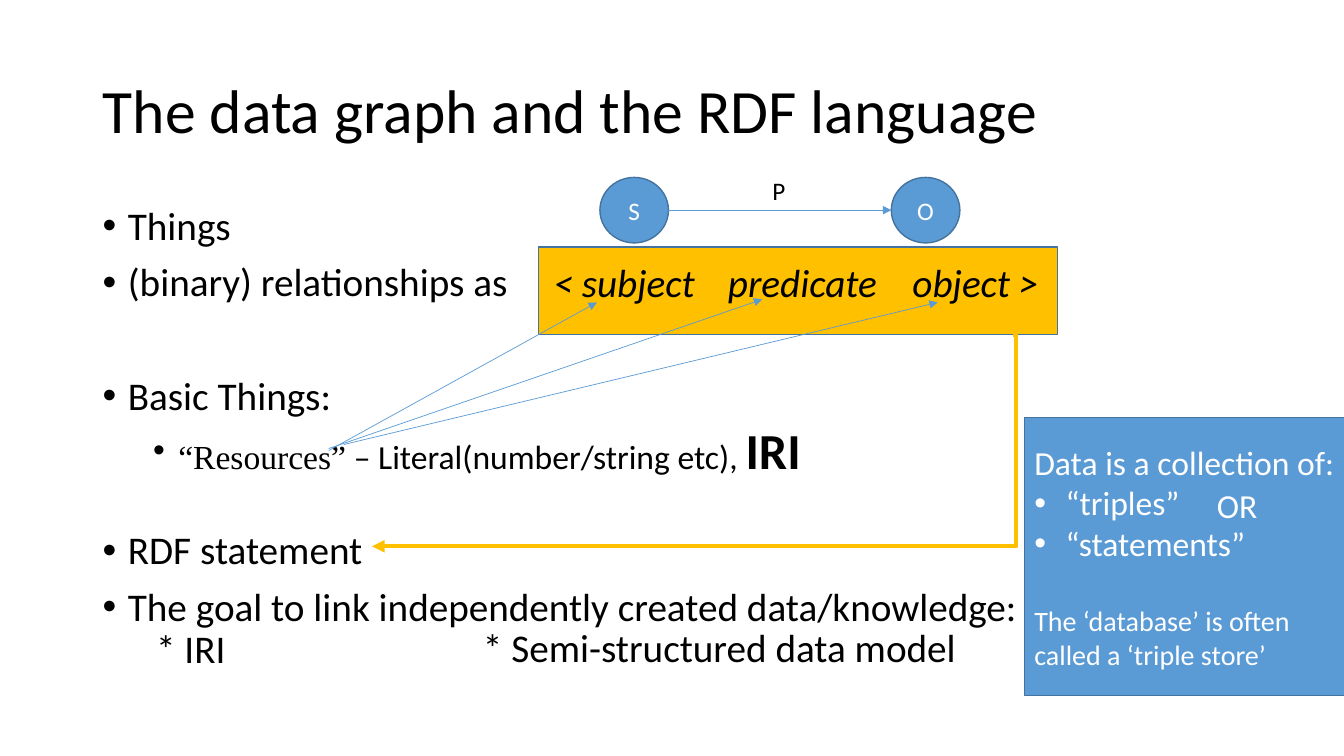
from dataclasses import dataclass

from lxml import etree
from pptx import Presentation
from pptx.dml.color import RGBColor
from pptx.enum import shapes, text
from pptx.oxml.ns import qn
from pptx.util import Inches, Pt


@dataclass(frozen=True)
class Theme:
    font: str = "Calibri"
    serif: str = "Times New Roman"
    black: str = "000000"
    white: str = "FFFFFF"
    blue: str = "5B9BD5"
    outline: str = "43739E"
    gold: str = "FFC000"
    title: int = 44
    body: int = 28
    detail: int = 24
    note: int = 20
    label: int = 18
    emphasis: int = 36


theme = Theme()

TITLE = "The data graph and the RDF language"
BODY = [
    {"runs": ["Things"], "before": 10},
    {"runs": ["(binary) relationships as"], "before": 10},
    {"runs": ["Basic Things:"], "before": 51},
    {"runs": [("“Resources”", {"font": theme.serif}), " – Literal(number/string etc), ",
              ("IRI", {"size": theme.emphasis, "bold": True})],
     "size": theme.detail, "before": 5, "left": 0.75},
    {"runs": ["RDF statement"], "before": 36},
    {"runs": ["The goal to link independently created data/knowledge:"], "before": 10},
    {"runs": ["* IRI"], "left": 0.53, "hang": 0},
]
SIDEBAR = [
    {"runs": ["Data is a collection of:"], "left": 0, "hang": 0},
    {"runs": ["“triples”"], "left": 0.31, "hang": 0.31},
    {"runs": ["“statements”"], "left": 0.31, "hang": 0.31},
    {"runs": ["The ‘database’ is often called a ‘triple store’"], "size": theme.note,
     "before": 29, "left": 0, "hang": 0},
]
TRIPLE = [("< subject", 5.49), ("predicate", 7.22), ("object >", 9.05)]
TRIPLE_TOP = 2.62
NODES = [("S", 5.95), ("O", 8.84)]
NODE_TOP, NODE_WIDTH, NODE_HEIGHT = 1.76, 0.68, 0.65
RESOURCE_ARROWS = [
    ((3.26, 4.47), (5.92, 3)),
    ((3.26, 4.45), (7.56, 2.97)),
    ((3.41, 4.41), (9.3, 3)),
]


def rgb(color):
    return RGBColor.from_string(color)


def write(frame, paragraphs, color, size, spacing=1.0):
    for index, item in enumerate(paragraphs):
        paragraph = frame.paragraphs[0] if index == 0 else frame.add_paragraph()
        paragraph.alignment = item.get("align", text.PP_ALIGN.LEFT)
        paragraph.line_spacing = spacing
        paragraph.space_before = Pt(item.get("before", 0))
        hang = item.get("hang", 0.25)
        properties = paragraph._p.get_or_add_pPr()
        properties.set("marL", str(Inches(item.get("left", 0.25))))
        properties.set("indent", str(-Inches(hang)))
        if hang:
            etree.SubElement(properties, qn("a:buFont"), typeface="Arial")
            etree.SubElement(properties, qn("a:buChar"), char="•")
        else:
            etree.SubElement(properties, qn("a:buNone"))
        for part in item["runs"]:
            words, style = part if isinstance(part, tuple) else (part, {})
            run = paragraph.add_run()
            run.text = words
            run.font.name = style.get("font", theme.font)
            run.font.size = Pt(style.get("size", item.get("size", size)))
            run.font.bold = style.get("bold", False)
            run.font.italic = style.get("italic", False)
            run.font.color.rgb = rgb(color)


def plain(words, align=text.PP_ALIGN.LEFT, **style):
    return [{"runs": [(words, style)], "left": 0, "hang": 0, "align": align}]


def add_label(slide, words, box, color, size, spacing=1.0, **style):
    frame = slide.shapes.add_textbox(*map(Inches, box)).text_frame
    frame.word_wrap = False
    frame.margin_left = frame.margin_right = frame.margin_top = frame.margin_bottom = 0
    write(frame, plain(words, **style), color, size, spacing)


def add_block(slide, kind, box, fill):
    shape = slide.shapes.add_shape(kind, *map(Inches, box))
    shape.shadow.inherit = False
    shape.fill.solid()
    shape.fill.fore_color.rgb = rgb(fill)
    shape.line.color.rgb = rgb(theme.outline)
    shape.line.width = Pt(1)
    shape.text_frame.word_wrap = True
    shape.text_frame.vertical_anchor = text.MSO_ANCHOR.MIDDLE
    return shape


def add_arrow(slide, start, end, color=theme.blue, width=0.5,
              kind=shapes.MSO_CONNECTOR.STRAIGHT):
    connector = slide.shapes.add_connector(kind, *map(Inches, start + end))
    connector.line.color.rgb = rgb(color)
    connector.line.width = Pt(width)
    etree.SubElement(connector.line._get_or_add_ln(), qn("a:tailEnd"), type="triangle")
    etree.SubElement(connector._element.spPr, qn("a:effectLst"))
    return connector


def main():
    presentation = Presentation()
    presentation.slide_width, presentation.slide_height = Inches(13.33), Inches(7.5)
    slide = presentation.slides.add_slide(presentation.slide_layouts[5])

    title = slide.shapes.title
    title.left, title.top, title.width, title.height = map(Inches, (0.92, 0.4, 11.5, 1.45))
    title.text_frame.vertical_anchor = text.MSO_ANCHOR.MIDDLE
    write(title.text_frame, plain(TITLE), theme.black, theme.title, 0.9)

    add_block(slide, shapes.MSO_SHAPE.RECTANGLE, (5.34, 2.45, 5.15, 0.87), theme.gold)
    body = slide.shapes.add_textbox(*map(Inches, (0.92, 2, 11.5, 4.76))).text_frame
    body.word_wrap = True
    write(body, BODY, theme.black, theme.body, 0.9)
    for term, left in TRIPLE:
        add_label(slide, term, (left, TRIPLE_TOP, 1.5, 0.43), theme.black, theme.body,
                  0.9, italic=True)
    add_label(slide, "* Semi-structured data model", (4.79, 6.24, 4.8, 0.43),
              theme.black, theme.body, 0.9)

    for name, left in NODES:
        node = add_block(slide, shapes.MSO_SHAPE.OVAL,
                         (left, NODE_TOP, NODE_WIDTH, NODE_HEIGHT), theme.blue)
        write(node.text_frame, plain(name, text.PP_ALIGN.CENTER), theme.white, theme.label)
    middle = NODE_TOP + NODE_HEIGHT / 2
    add_arrow(slide, (NODES[0][1] + NODE_WIDTH, middle), (NODES[1][1], middle))
    add_label(slide, "P", (7.66, 1.74, 0.15, 0.3), theme.black, theme.label)

    for start, end in RESOURCE_ARROWS:
        add_arrow(slide, start, end)
    elbow = add_arrow(slide, (10.05, 3.32), (3.69, 5.42), theme.gold, 3,
                      shapes.MSO_CONNECTOR.ELBOW)
    adjustments = elbow._element.spPr.find(qn("a:prstGeom")).get_or_add_avLst()
    etree.SubElement(adjustments, qn("a:gd"), name="adj1", fmla="val -500")

    sidebar = add_block(slide, shapes.MSO_SHAPE.RECTANGLE, (10.16, 4.14, 3.18, 2.76), theme.blue)
    write(sidebar.text_frame, SIDEBAR, theme.white, theme.detail)
    add_label(slide, "OR", (12.07, 4.81, 0.5, 0.41), theme.white, theme.detail)

    presentation.save("out.pptx")


if __name__ == "__main__":
    main()
